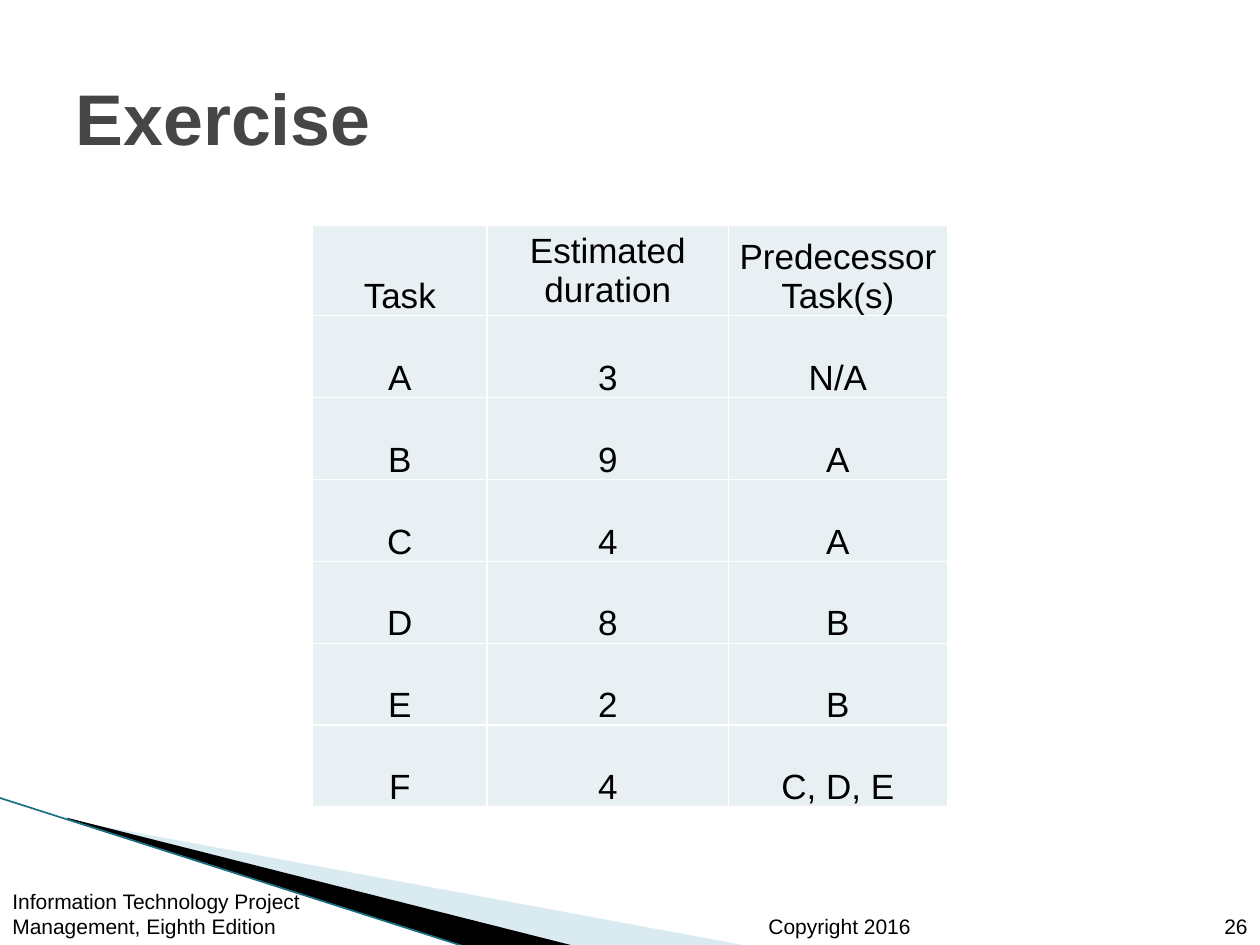
from lxml import etree
from pptx import Presentation, util as u
from pptx.dml.color import RGBColor
from pptx.enum import text
from pptx.oxml import ns

COLORS = {"text": "000000", "title": "464646", "cell": "E8F0F4", "border": "FFFFFF",
          "pale": "A0CBDC", "dark": "000000", "edge": "1A6F82"}
FONT = "Arial"
COLUMNS, ROWS = 100, 75
CELL = u.Inches(0.1)
ALIGN, ANCHOR = text.PP_ALIGN, text.MSO_ANCHOR

TASKS = [
    ("Task", "Estimated duration", "Predecessor Task(s)"),
    ("A", "3", "N/A"),
    ("B", "9", "A"),
    ("C", "4", "A"),
    ("D", "8", "B"),
    ("E", "2", "B"),
    ("F", "4", "C, D, E"),
]


def grid(*cells):
    """Turn grid columns or rows into lengths."""
    return [u.Emu(round(cell * CELL)) for cell in cells]


def rgb(name):
    return RGBColor.from_string(COLORS[name])


def add_xml(parent, tag, **attributes):
    return etree.SubElement(parent, ns.qn(tag), attributes)


class SlideBuilder:
    def __init__(self, slide):
        self.slide = slide
        self.shapes = slide.shapes

    def format_text(self, frame, content, size, color="text", bold=False, align=ALIGN.LEFT):
        frame.text = content
        for paragraph in frame.paragraphs:
            paragraph.alignment = align
            for run in paragraph.runs:
                run.font.name, run.font.size, run.font.bold = FONT, u.Pt(size), bold
                run.font.color.rgb = rgb(color)

    def place(self, shape, box):
        shape.left, shape.top, shape.width, shape.height = grid(*box)

    def title(self, content, box):
        shape = self.shapes.title
        self.place(shape, box)
        frame = shape.text_frame
        frame.auto_size = text.MSO_AUTO_SIZE.NONE
        frame.vertical_anchor = ANCHOR.MIDDLE
        self.format_text(frame, content, 41, "title", bold=True)

    def footer(self, content, left, width, align=ALIGN.LEFT):
        height = 4
        shape = self.shapes.add_textbox(*grid(left, ROWS - height, width, height))
        frame = shape.text_frame
        frame.word_wrap = True
        frame.vertical_anchor = ANCHOR.BOTTOM
        self.format_text(frame, content, 12, align=align)

    def reframe(self, shape, box):
        """Give a freeform another frame while its outline stays in place."""
        left, top = shape.left, shape.top
        self.place(shape, box)
        for outline in shape.element.iter(ns.qn("a:path")):
            outline.set("w", str(shape.width))
            outline.set("h", str(shape.height))
            for point in outline.iter(ns.qn("a:pt")):
                point.set("x", str(int(point.get("x")) + left - shape.left))
                point.set("y", str(int(point.get("y")) + top - shape.top))

    def polygon(self, points, box, color, alpha=None):
        start, *others = [grid(*point) for point in points]
        builder = self.shapes.build_freeform(*start)
        builder.add_line_segments(others, close=True)
        shape = builder.convert_to_shape()
        self.reframe(shape, box)
        shape.shadow.inherit = False
        shape.line.fill.background()
        shape.fill.solid()
        shape.fill.fore_color.rgb = rgb(color)
        if alpha is not None:
            fill = shape.element.spPr.find(ns.qn("a:solidFill"))
            add_xml(fill[0], "a:alpha", val=str(alpha * 1000))

    def line(self, start, end, color, width):
        connector = self.shapes.add_connector(1, *grid(*start, *end))
        connector.line.color.rgb = rgb(color)
        connector.line.width = u.Pt(width)
        add_xml(connector.element.spPr, "a:effectLst")

    def borders(self, cell, color, width):
        properties = cell._tc.get_or_add_tcPr()
        for index, side in enumerate(("a:lnL", "a:lnR", "a:lnT", "a:lnB")):
            border = etree.Element(ns.qn(side), w=str(u.Pt(width)))
            add_xml(add_xml(border, "a:solidFill"), "a:srgbClr", val=COLORS[color])
            properties.insert(index, border)

    def table(self, data, left, top, widths, heights):
        box = grid(left, top, sum(widths), sum(heights))
        table = self.shapes.add_table(len(data), len(widths), *box).table
        table.first_row = table.horz_banding = False
        for column, width in zip(table.columns, grid(*widths)):
            column.width = width
        for row, height, values in zip(table.rows, grid(*heights), data):
            row.height = height
            for cell, value in zip(row.cells, values):
                cell.margin_left = cell.margin_right = cell.margin_top = u.Inches(0.01)
                cell.margin_bottom = 0
                cell.vertical_anchor = ANCHOR.BOTTOM
                cell.fill.solid()
                cell.fill.fore_color.rgb = rgb("cell")
                self.format_text(cell.text_frame, value, 20, align=ALIGN.CENTER)
                self.borders(cell, "border", 1)
        return table


def main():
    presentation = Presentation()
    presentation.slide_width, presentation.slide_height = grid(COLUMNS, ROWS)
    slide = presentation.slides.add_slide(presentation.slide_layouts[5])
    builder = SlideBuilder(slide)

    builder.polygon([(5.5, 65.1), (59.5, 75.1), (45.6, 75.1), (5.5, 65)],
                    (7.8, 54.7, 41.6, 15.8), "pale", alpha=40)
    builder.polygon([(5.3, 64.9), (45.7, 75.1), (37.2, 75.2), (5.4, 65)],
                    (-0.6, 63.3, 41.6, 9.2), "dark")
    builder.line((-0.1, 63.3), (37.1, 75.2), "edge", 0.95)

    builder.footer("Copyright 2016", 60, 17.5)
    builder.footer("Information Technology Project Management, Eighth Edition", 0, 28.3)
    builder.footer("26", COLUMNS - 6.1, 6.1, ALIGN.RIGHT)

    table = builder.table(TASKS, 24.8, 17.9, [13.87, 19.15, 17.38],
                          [7.15] + [6.5] * (len(TASKS) - 1))
    table.cell(0, 1).vertical_anchor = ANCHOR.MIDDLE
    builder.title("Exercise", (5, 3, 90, 12.5))

    presentation.save("out.pptx")


if __name__ == "__main__":
    main()
